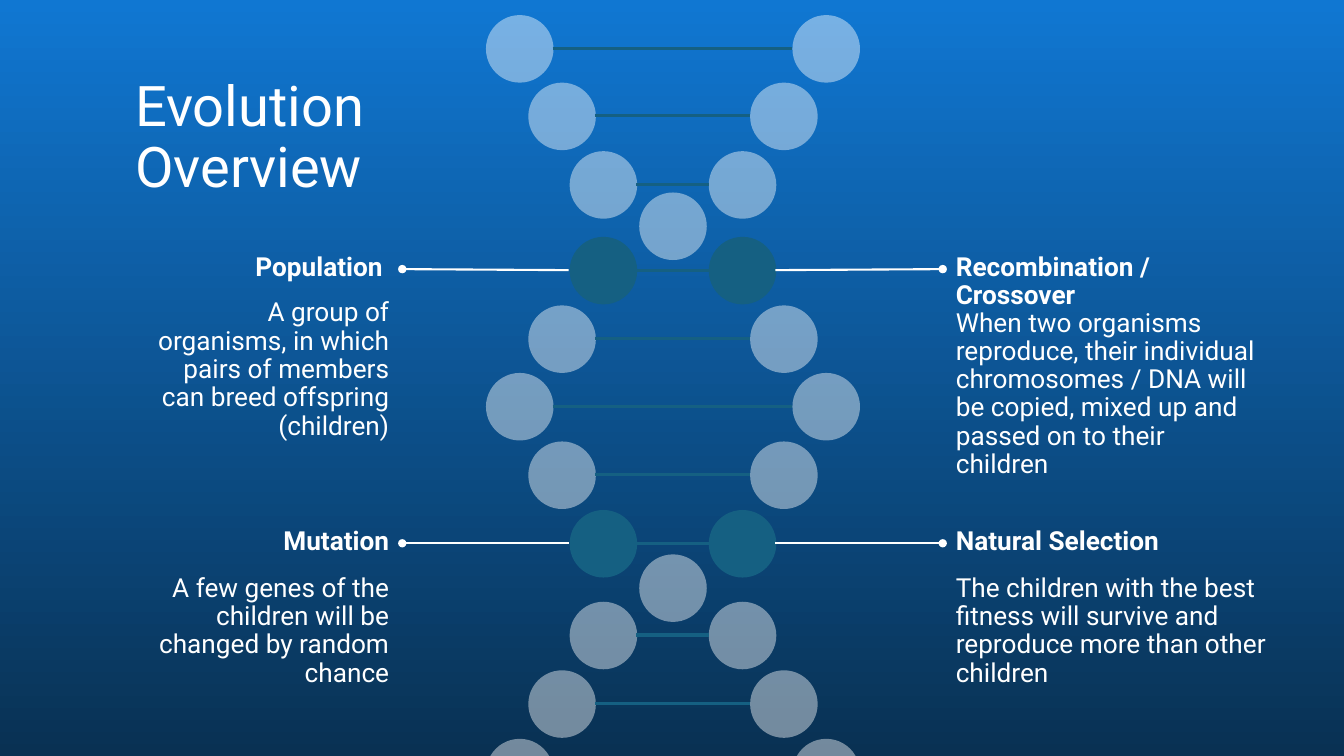
from lxml import etree
from pptx import Presentation
from pptx.dml.color import RGBColor
from pptx.enum.shapes import MSO_CONNECTOR, MSO_SHAPE
from pptx.enum.text import MSO_ANCHOR, PP_ALIGN
from pptx.oxml.ns import qn
from pptx.util import Pt

PX = 9144
COLORS = {"sky": "1077D2", "navy": "093153", "teal": "156082", "white": "FFFFFF"}
FONT = "Roboto"
INSET = 13
BALL = 67
RADIUS = 33
HELIX_ROWS = [
    (15, 152, False), (82, 110, False), (150, 69, False), (191, 0, False),
    (235, 69, True), (303, 110, False), (370, 152, False), (438, 110, False),
    (506, 69, True), (550, 0, False), (597, 69, False), (665, 110, False),
    (733, 152, False),
]
HELIX_BOX = (481, 0, 372, 750)
CALLOUTS = [
    ((138, 239, 261, 55), 45, 261, "Population ",
     "A group of organisms, in which pairs of members can breed offspring (children)",
     (564, 268), (399, 267)),
    ((138, 511, 261, 55), 46, 261, "Mutation",
     "A few genes of the children will be changed by random chance",
     (564, 539), (399, 539)),
    ((935, 239, 339, 55), 55, 331, "Recombination / Crossover",
     "When two organisms reproduce, their individual chromosomes / DNA will be copied, "
     "mixed up and passed on to their children",
     (769, 268), (935, 267)),
    ((935, 511, 339, 55), 46, 353, "Natural Selection",
     "The children with the best fitness will survive and reproduce more than other children",
     (769, 539), (935, 539)),
]


def px(*lengths):
    """Turn px lengths into EMU."""
    return [length * PX for length in lengths]


def rgb(name):
    """Look up a named colour."""
    return RGBColor.from_string(COLORS[name])


def add_text(slide, box, lines, size, bold=False, align=PP_ALIGN.LEFT, after=0):
    """Write paragraphs into a wrapped box."""
    frame = slide.shapes.add_textbox(*px(*box)).text_frame
    inset = INSET * PX
    frame_format = {"word_wrap": True, "vertical_anchor": MSO_ANCHOR.TOP,
                    "margin_left": inset, "margin_right": inset,
                    "margin_top": inset, "margin_bottom": inset}
    for name, value in frame_format.items():
        setattr(frame, name, value)
    frame.text = "\n".join(lines)
    for paragraph in frame.paragraphs:
        paragraph_format = {"alignment": align, "line_spacing": 0.9, "space_after": Pt(after)}
        for name, value in paragraph_format.items():
            setattr(paragraph, name, value)
        font_format = {"name": FONT, "size": Pt(size), "bold": bold}
        for name, value in font_format.items():
            setattr(paragraph.font, name, value)
        paragraph.font.color.rgb = rgb("white")


def add_line(shapes, start, end, color, weight):
    """Draw a straight line without a shadow."""
    line = shapes.add_connector(MSO_CONNECTOR.STRAIGHT, *px(*start, *end))
    line.line.color.rgb = rgb(color)
    line.line.width = Pt(weight)
    etree.SubElement(line.line._get_or_add_ln().getparent(), qn("a:effectLst"))
    return line


def add_ball(shapes, left, top, highlighted):
    """Draw one base of the helix, solid if highlighted."""
    ball = shapes.add_shape(MSO_SHAPE.OVAL, *px(left, top, BALL, BALL))
    ball.shadow.inherit = False
    ball.line.fill.background()
    ball.fill.solid()
    ball.fill.fore_color.rgb = rgb("teal" if highlighted else "white")
    if not highlighted:
        color = next(ball.element.spPr.iter(qn("a:srgbClr")))
        etree.SubElement(color, qn("a:alpha"), val="43000")


def add_helix(slide, box):
    """Draw the pairs of bases and their rungs down the box."""
    left, top, width, height = box
    middle = left + width // 2
    shapes = slide.shapes.add_group_shape().shapes
    for row_top, reach, highlighted in HELIX_ROWS:
        ball_top = top + row_top
        for offset in sorted({-reach, reach}):
            add_ball(shapes, middle + offset - RADIUS, ball_top, highlighted)
        rung_y = ball_top + RADIUS
        if reach and rung_y < top + height:
            rung = reach - RADIUS
            add_line(shapes, (middle - rung, rung_y), (middle + rung, rung_y), "teal", 2.25)


def add_callout(slide, box, drop, body_width, heading, body, start, end):
    """Place a heading, its text and the leader from the helix."""
    left, top, width, height = box
    align = PP_ALIGN.RIGHT if end[0] < start[0] else PP_ALIGN.LEFT
    add_text(slide, box, [heading], 18.7, bold=True, align=align)
    add_text(slide, (left, top + drop, body_width, 84), [body], 18.7, align=align, after=21.3)
    leader = add_line(slide.shapes, start, end, "white", 1.5)
    etree.SubElement(leader.line._get_or_add_ln(), qn("a:tailEnd"), type="oval")


def add_background(slide):
    """Fill the slide from sky at the top to navy at the bottom."""
    fill = slide.background.fill
    fill.gradient()
    fill.gradient_angle = 270
    for stop, name in zip(fill.gradient_stops, ("sky", "navy")):
        stop.color.rgb = rgb(name)


def build_overview(deck):
    """Build the evolution overview slide."""
    slide = deck.slides.add_slide(deck.slide_layouts[6])
    add_background(slide)
    add_text(slide, (121, 65, 1178, 84), ["Evolution", "Overview"], 40)
    add_helix(slide, HELIX_BOX)
    for callout in CALLOUTS:
        add_callout(slide, *callout)


def main():
    """Create and save the deck."""
    deck = Presentation()
    deck.slide_width, deck.slide_height = px(1333, 750)
    build_overview(deck)
    deck.save("out.pptx")


if __name__ == "__main__":
    main()
